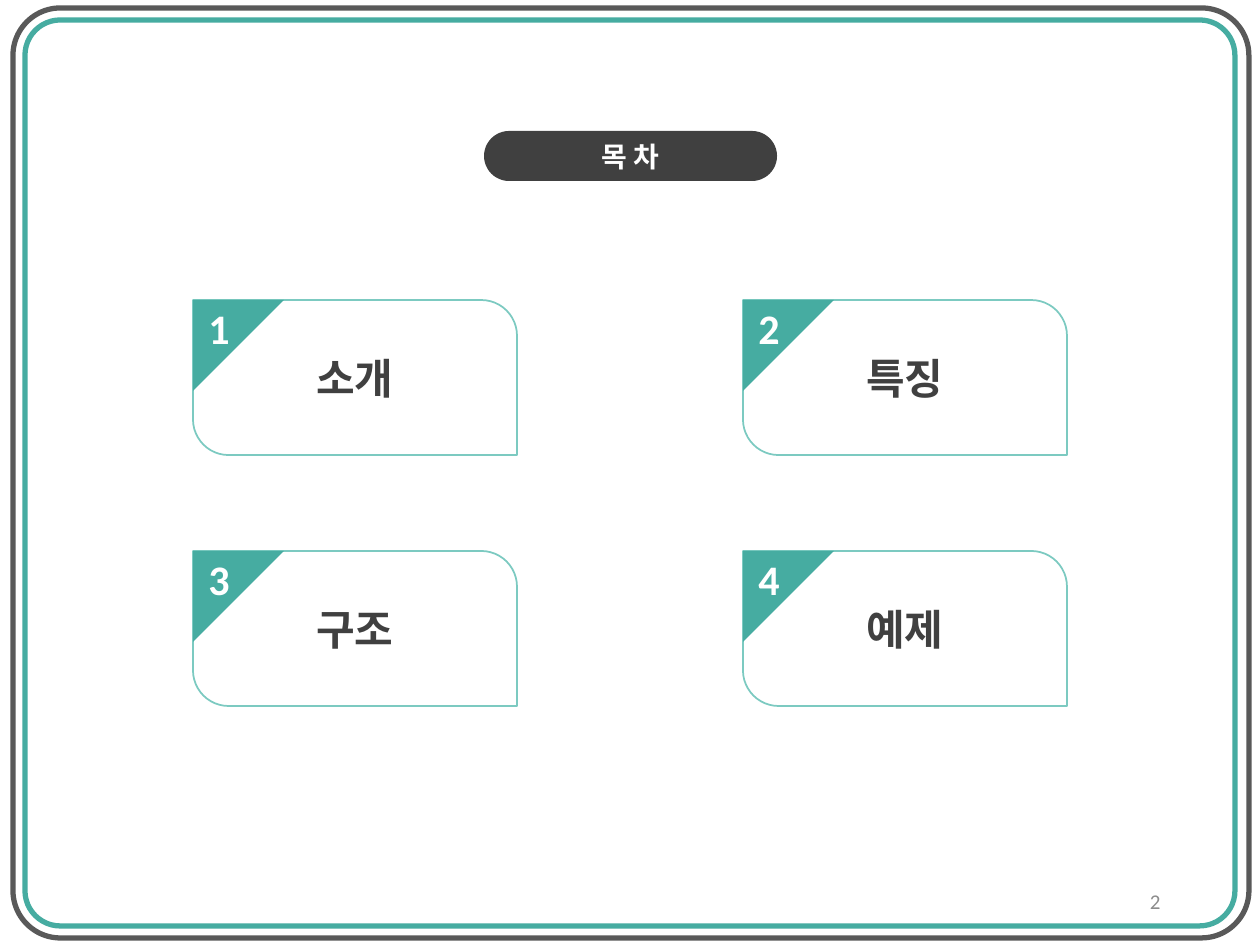
from pptx import Presentation
from pptx.dml.color import RGBColor
from pptx.enum.shapes import MSO_SHAPE as SHAPE
from pptx.enum.text import MSO_ANCHOR as ANCHOR, PP_ALIGN as ALIGN
from pptx.util import Pt

EMU_PER_PX = 914400 / 126
TEAL, PALE_TEAL, DARK, GREY = "46ACA1", "7CCAC1", "404040", "595959"
WHITE, PAGE_GREY = "FFFFFF", "8C8C8C"
FONT = "Calibri"


def px(n):
    return round(n * EMU_PER_PX)


def rgb(value):
    return RGBColor.from_string(value)


def add_shape(shapes, kind, box, fill=None, line=None, width=1, adj=()):
    sp = shapes.add_shape(kind, *map(px, box))
    sp.shadow.inherit = False
    for i, value in enumerate(adj):
        sp.adjustments[i] = value
    if fill:
        sp.fill.solid()
        sp.fill.fore_color.rgb = rgb(fill)
    else:
        sp.fill.background()
    if line:
        sp.line.color.rgb = rgb(line)
        sp.line.width = Pt(width)
    else:
        sp.line.fill.background()
    return sp


def set_text(sp, text, size, color, bold=True, align=ALIGN.CENTER, anchor=ANCHOR.MIDDLE):
    tf = sp.text_frame
    tf.word_wrap = True
    tf.vertical_anchor = anchor
    tf.text = text
    p = tf.paragraphs[0]
    p.alignment = align
    font = p.runs[0].font
    font.name, font.size, font.bold = FONT, Pt(size), bold
    font.color.rgb = rgb(color)


def add_card(s, box, number, title):
    """Card with two rounded corners and a numbered triangle at its top left."""
    x, y, w, h = box
    shapes = s.shapes.add_group_shape().shapes
    card = add_shape(shapes, SHAPE.ROUND_2_DIAG_RECTANGLE, box, WHITE, PALE_TEAL, adj=(0, 0.23))
    set_text(card, title, 24, DARK)
    corner = add_shape(shapes, SHAPE.RIGHT_TRIANGLE, (x, y, 91, 91), TEAL)
    corner.rotation = 90
    label = shapes.add_textbox(*map(px, (x + 3, y - 4, 64, 63)))
    set_text(label, str(number), 24, WHITE, align=ALIGN.LEFT, anchor=ANCHOR.TOP)


def add_card_grid(s, box, titles, columns=2):
    x, y, w, h = box
    card_w, card_h = 324, 155
    rows = len(titles) // columns
    step_x = (w - card_w) / (columns - 1)
    step_y = (h - card_h) / (rows - 1)
    for i, title in enumerate(titles):
        row, col = divmod(i, columns)
        add_card(s, (x + col * step_x, y + row * step_y, card_w, card_h), i + 1, title)


def add_frame(s, box):
    """Teal outline inside a grey one."""
    x, y, w, h = box
    shapes = s.shapes.add_group_shape().shapes
    inner = (x + 12, y + 12, w - 26, h - 24)
    add_shape(shapes, SHAPE.ROUNDED_RECTANGLE, inner, line=TEAL, width=3, adj=(0.039,))
    add_shape(shapes, SHAPE.ROUNDED_RECTANGLE, box, line=GREY, width=3, adj=(0.051,))


def add_heading(s, box, text):
    pill = add_shape(s.shapes, SHAPE.ROUNDED_RECTANGLE, box, DARK, adj=(0.5,))
    set_text(pill, text, 16, WHITE)


def add_page_number(s, box, number):
    tb = s.shapes.add_textbox(*map(px, box))
    set_text(tb, str(number), 12, PAGE_GREY, bold=False, align=ALIGN.RIGHT)


def main():
    prs = Presentation()
    prs.slide_width, prs.slide_height = px(1260), px(945)
    s = prs.slides.add_slide(prs.slide_layouts[6])
    add_card_grid(s, (193, 300, 874, 406), ["소개", "특징", "구조", "예제"])
    add_frame(s, (13, 8, 1236, 930))
    add_heading(s, (484, 131, 293, 50), "목 차")
    add_page_number(s, (890, 876, 283, 50), 2)
    prs.save("out.pptx")


if __name__ == "__main__":
    main()
